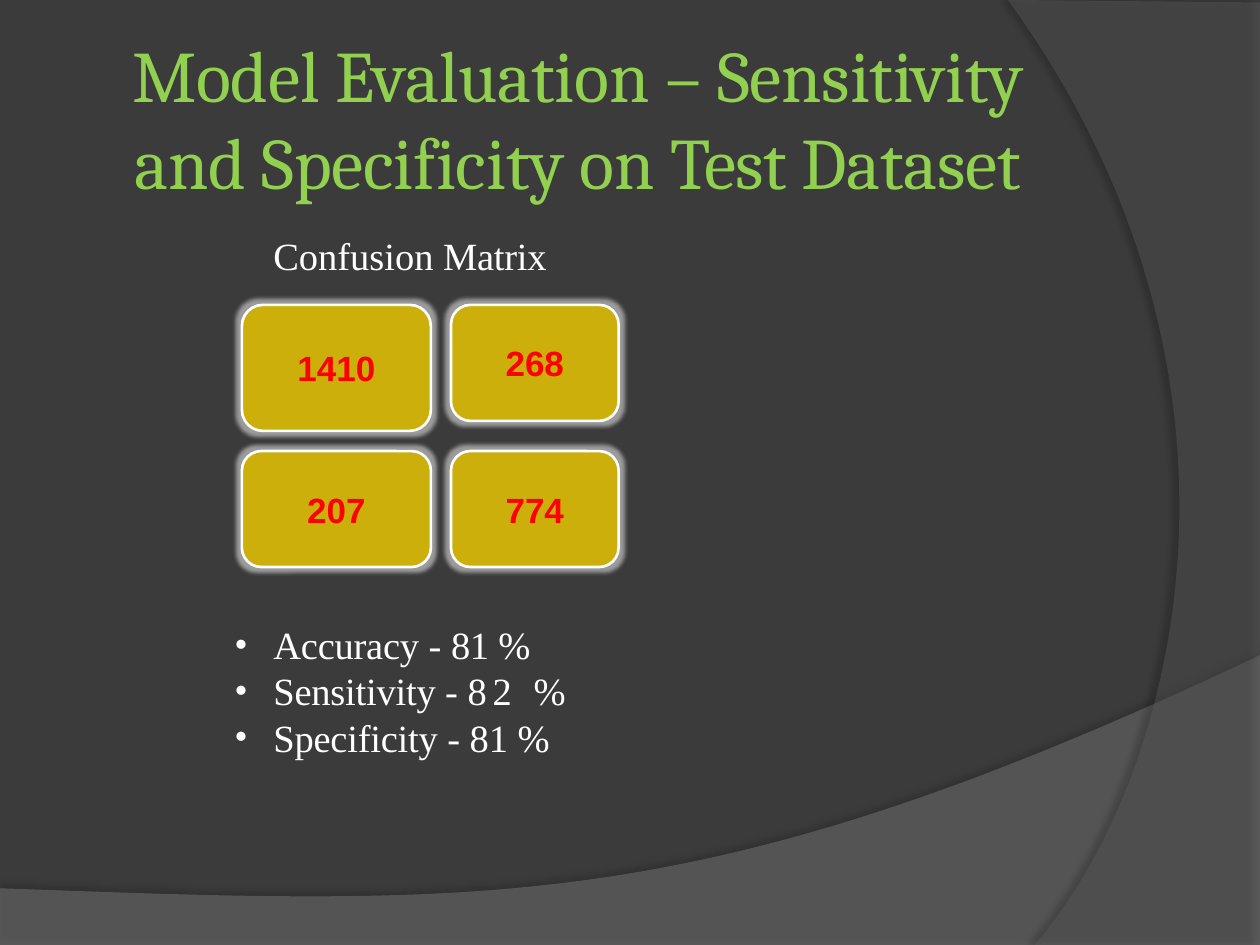
from lxml.etree import SubElement
from pptx import Presentation
from pptx.dml.color import RGBColor
from pptx.enum.shapes import MSO_SHAPE as SHAPE
from pptx.enum.text import MSO_ANCHOR as ANCHOR, PP_ALIGN as ALIGN
from pptx.oxml.ns import qn
from pptx.util import Inches, Pt

COLORS = {
    "background": "3B3B3B", "wave": "7F7F7F", "arc": "5E5E5E",
    "title": "92D050", "text": "FFFFFF", "cell": "CCAF0A",
    "count": "FF0000", "shadow": "000000",
}
TITLE = {"name": "Cambria", "size": Pt(41.4)}
BODY = {"name": "Times New Roman", "size": Pt(22)}
COUNT = {"name": "Arial", "size": Pt(20), "bold": True}

COLUMNS = [(1.92, 1.5), (3.58, 1.33)]
ROWS = [2.42, 3.58]
MATRIX = [[("1410", 1), ("268", 0.92)], [("207", 0.92), ("774", 0.92)]]
METRICS = [
    [("Accuracy ", -0.1), ("- ", 0), ("81 ", -0.2), ("%", 0)],
    [("Sensitivity ", -0.1), ("- ", 0), ("82 ", 3.4), ("%", 0)],
    [("Specificity ", -0.1), ("- 81 %", 0)],
]


def rgb(name):
    return RGBColor.from_string(COLORS[name])


def add_color(parent, name, alpha):
    color = SubElement(parent, qn("a:srgbClr"), val=COLORS[name])
    SubElement(color, qn("a:alpha"), val=str(alpha * 1000))


def add_effect(sp, tag, color, alpha, **attrs):
    sp.shadow.inherit = False
    effects = sp._element.spPr.find(qn("a:effectLst"))
    effect = SubElement(effects, qn(tag), {k: str(v) for k, v in attrs.items()})
    add_color(effect, color, alpha)


def curve(p0, p1, p2, p3, steps=60):
    points = []
    for i in range(1, steps + 1):
        t = i / steps
        weights = ((1 - t) ** 3, 3 * t * (1 - t) ** 2, 3 * t * t * (1 - t), t ** 3)
        points.append(tuple(sum(w * p[axis] for w, p in zip(weights, (p0, p1, p2, p3)))
                            for axis in (0, 1)))
    return points


def add_backdrop(slide, points, color, alpha, shadow_alpha, distance, direction):
    points = [(Inches(x), Inches(y)) for x, y in points]
    builder = slide.shapes.build_freeform(*points[0])
    builder.add_line_segments(points[1:], close=True)
    sp = builder.convert_to_shape()
    sp.fill.solid()
    sp.fill.fore_color.rgb = rgb(color)
    fill = sp._element.spPr.find(qn("a:solidFill"))
    SubElement(fill[0], qn("a:alpha"), val=str(alpha * 1000))
    sp.line.fill.background()
    add_effect(sp, "a:outerShdw", "shadow", shadow_alpha, blurRad=Pt(4),
               dist=Pt(distance), dir=direction * 60000, algn="ctr", rotWithShape=0)


def add_run(p, text, style, color, spacing=0):
    r = p.add_run()
    r.text = text
    for key, value in style.items():
        setattr(r.font, key, value)
    r.font.color.rgb = rgb(color)
    if spacing:
        r._r.get_or_add_rPr().set("spc", str(round(spacing * 100)))


def add_bullet(p):
    pPr = p._p.get_or_add_pPr()
    pPr.set("marL", str(Inches(0.33)))
    pPr.set("indent", str(Inches(-0.31)))
    SubElement(pPr, qn("a:buFont"), typeface="Times New Roman")
    SubElement(pPr, qn("a:buChar"), char="•")


def add_text(slide, box, paragraphs, style, color, inset=0, bullets=False, **frame):
    tf = slide.shapes.add_textbox(*map(Inches, box)).text_frame
    settings = {"word_wrap": True, "margin_left": Inches(inset),
                "margin_right": Inches(inset), "margin_top": Inches(inset or 0.01),
                "margin_bottom": Inches(inset), **frame}
    for key, value in settings.items():
        setattr(tf, key, value)
    for i, runs in enumerate(paragraphs):
        p = tf.add_paragraph() if i else tf.paragraphs[0]
        if not inset and not i:
            p.space_before = Pt(1)
        if bullets:
            add_bullet(p)
        for text, spacing in runs:
            add_run(p, text, style, color, spacing)
    return tf


def add_cell(slide, box, count):
    sp = slide.shapes.add_shape(SHAPE.ROUNDED_RECTANGLE, *map(Inches, box))
    sp.fill.solid()
    sp.fill.fore_color.rgb = rgb("cell")
    sp.line.color.rgb = rgb("text")
    sp.line.width = Pt(1.5)
    add_effect(sp, "a:glow", "text", 50, rad=Pt(5))
    tf = sp.text_frame
    tf.vertical_anchor = ANCHOR.MIDDLE
    p = tf.paragraphs[0]
    p.alignment = ALIGN.CENTER
    add_run(p, count, COUNT, "count")


def main():
    prs = Presentation()
    prs.slide_width, prs.slide_height = Inches(10), Inches(7.5)
    slide = prs.slides.add_slide(prs.slide_layouts[6])
    slide.background.fill.solid()
    slide.background.fill.fore_color.rgb = rgb("background")

    wave = [(0, 7.05), (0, 7.51), (10, 7.51), (10, 5.2)]
    wave += curve(wave[-1], (5.59, 7.29), (3.91, 7.19), wave[0])
    add_backdrop(slide, wave, "wave", 45, 35, 3.5, 270)
    arc = [(10, 0.02), (10, 7.5), (8.21, 7.5)]
    arc += curve(arc[-1], (9.35, 6.19), (10.18, 3), (8, 0))
    add_backdrop(slide, arc, "arc", 40, 45, 4, 180)

    title = [("Model Evaluation – Sensitivity and Specificity on ", -0.1),
             ("Test ", -0.6), ("Dataset", -0.1)]
    tf = add_text(slide, (0.5, 0.3, 8.17, 1.25), [title], TITLE, "title",
                  inset=0.05, vertical_anchor=ANCHOR.MIDDLE)
    tf.paragraphs[0].alignment = ALIGN.CENTER

    add_text(slide, (1.84, 4.92, 3.16, 1.12), METRICS, BODY, "text", bullets=True)
    add_text(slide, (2.17, 1.83, 3, 0.38), [[("Confusion ", 0), ("Matrix", -0.1)]],
             BODY, "text")

    for top, row in zip(ROWS, MATRIX):
        for (left, width), (count, height) in zip(COLUMNS, row):
            add_cell(slide, (left, top, width, height), count)

    prs.save("out.pptx")


if __name__ == "__main__":
    main()
